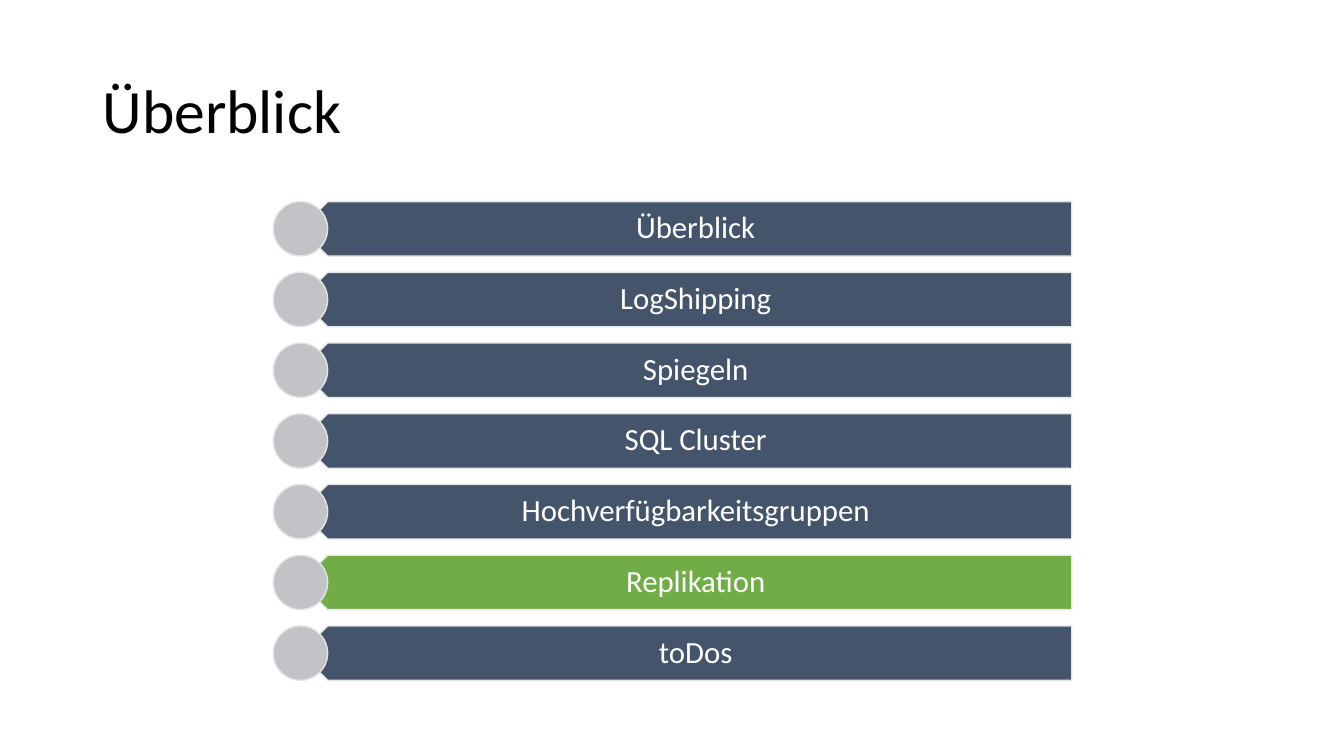
from dataclasses import dataclass

from pptx import Presentation
from pptx.dml.color import RGBColor as Rgb
from pptx.enum.shapes import MSO_SHAPE as Kind
from pptx.enum.text import MSO_ANCHOR as Anchor, PP_ALIGN as Align
from pptx.util import Inches, Pt


@dataclass(frozen=True)
class Theme:
    """Hold the colours, font and type sizes."""
    font: str = "Calibri"
    ink: str = "000000"
    pale: str = "FFFFFF"
    bar: str = "44546A"
    live: str = "70AD47"
    dot: str = "C1C3C7"
    edge: str = "E7E6E6"
    head: int = 44
    item: int = 22


def apply(obj, vals):
    """Set each attribute named in the dict."""
    for name, val in vals.items():
        setattr(obj, name, val)


class Deck:
    """Draw styled elements on the current slide."""

    def __init__(self, theme, slide):
        """Keep the theme and the slide."""
        self.theme = theme
        self.slide = slide

    def text(self, box, words, size, color, align, pad):
        """Add a text box with one paragraph."""
        shape = self.slide.shapes.add_textbox(*map(Inches, box))
        frame = shape.text_frame
        left, top, right, base = map(Inches, pad)
        apply(frame, {"word_wrap": True, "vertical_anchor": Anchor.MIDDLE,
                      "margin_left": left, "margin_top": top,
                      "margin_right": right, "margin_bottom": base})
        para = frame.paragraphs[0]
        apply(para, {"text": words, "alignment": align, "line_spacing": 0.9})
        font = para.runs[0].font
        apply(font, {"name": self.theme.font, "size": Pt(size)})
        font.color.rgb = Rgb.from_string(color)

    def shape(self, kind, box, fill, turn=0):
        """Add a filled preset shape with a thin edge."""
        shape = self.slide.shapes.add_shape(kind, *map(Inches, box))
        shape.rotation = turn
        shape.shadow.inherit = False
        shape.fill.solid()
        shape.fill.fore_color.rgb = Rgb.from_string(fill)
        shape.line.color.rgb = Rgb.from_string(self.theme.edge)
        shape.line.width = Pt(1)

    def row(self, top, words, fill):
        """Add one agenda row of bar, label and dot."""
        high = 0.54
        look = self.theme
        self.shape(Kind.PENTAGON, (2.98, top, 7.65, high), fill, 180)
        self.text((3.11, top, 7.51, high), words, look.item, look.pale,
                  Align.CENTER, (0.24, 0.09, 0.17, 0.09))
        self.shape(Kind.OVAL, (2.71, top, high, high), look.dot)


def main():
    """Build and save the agenda slide."""
    show = Presentation()
    apply(show, {"slide_width": Inches(13.33), "slide_height": Inches(7.5)})
    look = Theme()
    deck = Deck(look, show.slides.add_slide(show.slide_layouts[6]))
    deck.text((0.92, 0.4, 11.5, 1.45), "Überblick", look.head, look.ink,
              Align.LEFT, (0.1, 0.05, 0.1, 0.05))
    items = ("Überblick", "LogShipping", "Spiegeln", "SQL Cluster",
             "Hochverfügbarkeitsgruppen", "Replikation", "toDos")
    first, last = 2, 6.21
    step = (last - first) / (len(items) - 1)
    for i, item in enumerate(items):
        fill = look.live if item == "Replikation" else look.bar
        deck.row(first + i * step, item, fill)
    show.save("out.pptx")


if __name__ == "__main__":
    main()
